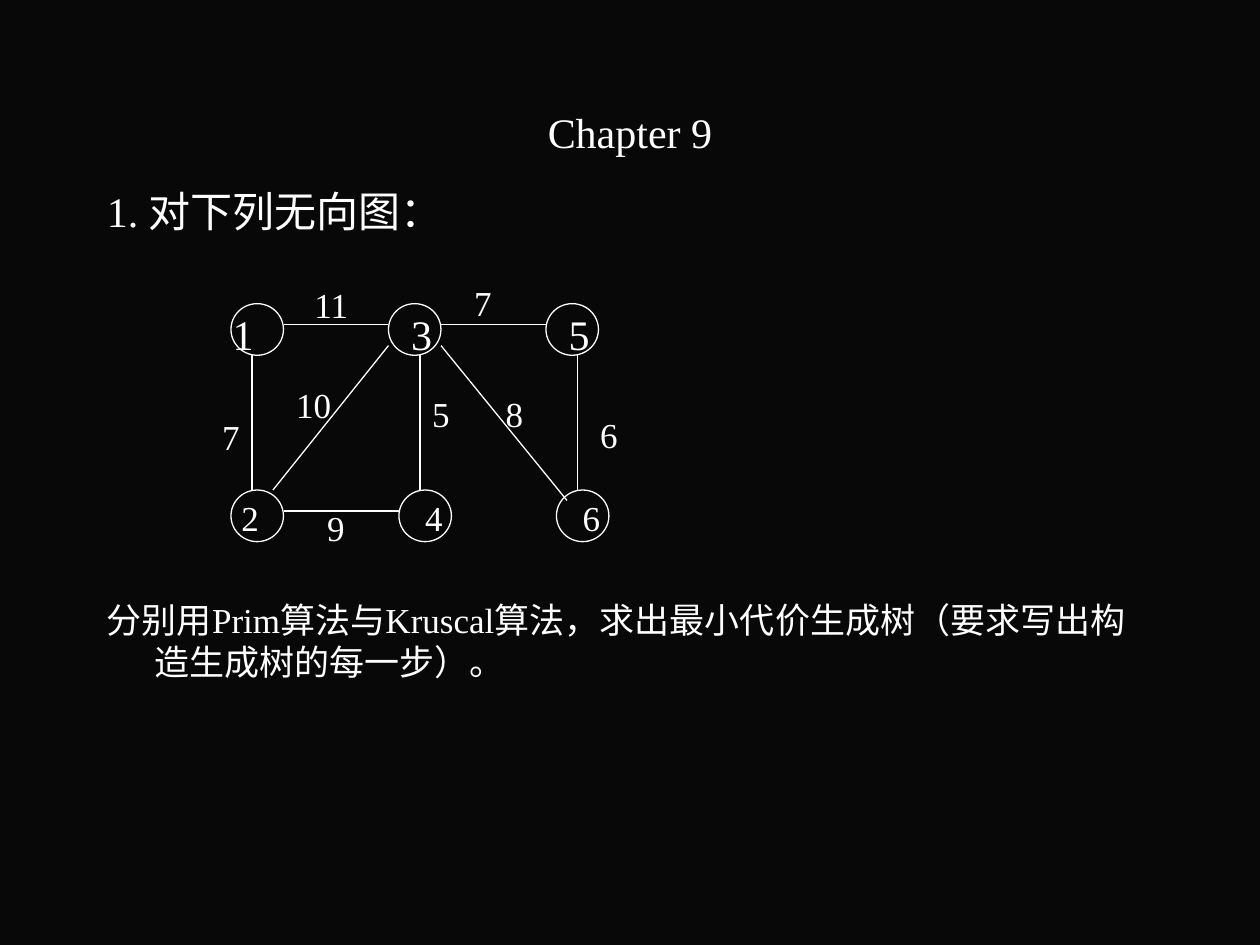
from lxml import etree
from pptx import Presentation
from pptx.dml.color import RGBColor
from pptx.enum.shapes import MSO_CONNECTOR, MSO_SHAPE
from pptx.enum.text import MSO_ANCHOR as Anchor, PP_ALIGN as Align
from pptx.oxml.ns import qn
from pptx.util import Pt

WHITE = RGBColor(255, 255, 255)
BLACK = RGBColor(8, 8, 8)
FONT = "Times New Roman"

TITLE = "Chapter 9"
QUESTION = "1. 对下列无向图："
TASK = "分别用Prim算法与Kruscal算法，求出最小代价生成树（要求写出构造生成树的每一步）。"

LEFT, WIDE = 54, 612
INSET = 7.2
HANG = 27
NODE_W, NODE_H = 30, 29.5
TOP_Y, LOW_Y = 173.5, 280

# number, circle left, circle top, label centre x, label centre y, size
NODES = [
    ("1", 132, TOP_Y, 139, 190.5, 24),
    ("3", 222, TOP_Y, 241, 190.5, 24),
    ("5", 312, TOP_Y, 331, 190.5, 24),
    ("2", 132, LOW_Y, 143, 295.5, 20),
    ("4", 228, LOW_Y, 248, 295.5, 20),
    ("6", 318, LOW_Y, 338, 295.5, 20),
]

# weight, label centre, line start, line end
EDGES = [
    ("11", (189.3, 174), (162, 185.5), (222, 185.5)),
    ("7", (276, 173), (252, 185.5), (312, 185.5)),
    ("9", (192, 301.5), (162, 292), (228, 292)),
    ("7", (132, 249.5), (144, 203), (144, 280)),
    ("5", (252, 236.5), (240, 203), (240, 280)),
    ("6", (348, 248.5), (330, 203), (330, 280)),
    ("10", (179.3, 231), (222, 197.5), (156, 280)),
    ("8", (294, 236.5), (252, 197.5), (324, 286)),
]

deck = Presentation()
deck.slide_width, deck.slide_height = Pt(720), Pt(540)
slide = deck.slides.add_slide(deck.slide_layouts[6])
slide.background.fill.solid()
slide.background.fill.fore_color.rgb = BLACK
shapes = slide.shapes


def write(text, x, y, w, h, size=20, align=Align.LEFT,
          anchor=Anchor.TOP, inset=0, hang=0):
    box = shapes.add_textbox(Pt(x), Pt(y), Pt(w), Pt(h))
    frame = box.text_frame
    frame.word_wrap = True
    frame.vertical_anchor = anchor
    frame.margin_left = frame.margin_right = Pt(inset)
    frame.margin_top = frame.margin_bottom = 0
    para = frame.paragraphs[0]
    para.alignment = align
    if hang:
        props = para._p.get_or_add_pPr()
        props.set("marL", str(Pt(hang)))
        props.set("indent", str(-Pt(hang)))
    run = para.add_run()
    run.text = text
    run.font.name = FONT
    run.font.size = Pt(size)
    run.font.color.rgb = WHITE


def label(text, x, y, size=20):
    """Write text centred on the point x, y."""
    w, h = 30, 30
    write(text, x - w / 2, y - h / 2, w, h, size=size,
          align=Align.CENTER, anchor=Anchor.MIDDLE)


def circle(x, y):
    ring = shapes.add_shape(MSO_SHAPE.OVAL, Pt(x), Pt(y),
                            Pt(NODE_W), Pt(NODE_H))
    ring.shadow.inherit = False
    ring.fill.background()
    ring.line.color.rgb = WHITE
    ring.line.width = Pt(0.75)


def link(start, end):
    line = shapes.add_connector(MSO_CONNECTOR.STRAIGHT,
                                *map(Pt, start + end))
    line.line.color.rgb = WHITE
    line.line.width = Pt(0.75)
    etree.SubElement(line._element.spPr, qn("a:effectLst"))


write(TITLE, LEFT, 48.5, WIDE, 53, size=24, align=Align.CENTER,
      anchor=Anchor.MIDDLE, inset=INSET)
write(QUESTION, LEFT, 106, WIDE, 32, size=24, inset=INSET, hang=HANG)
write(TASK, LEFT, 342, WIDE, 52, inset=INSET, hang=HANG)

for name, x, y, mid_x, mid_y, size in NODES:
    circle(x, y)
    label(name, mid_x, mid_y, size)

for weight, mid, start, end in EDGES:
    link(start, end)
    label(weight, *mid)

deck.save("out.pptx")
